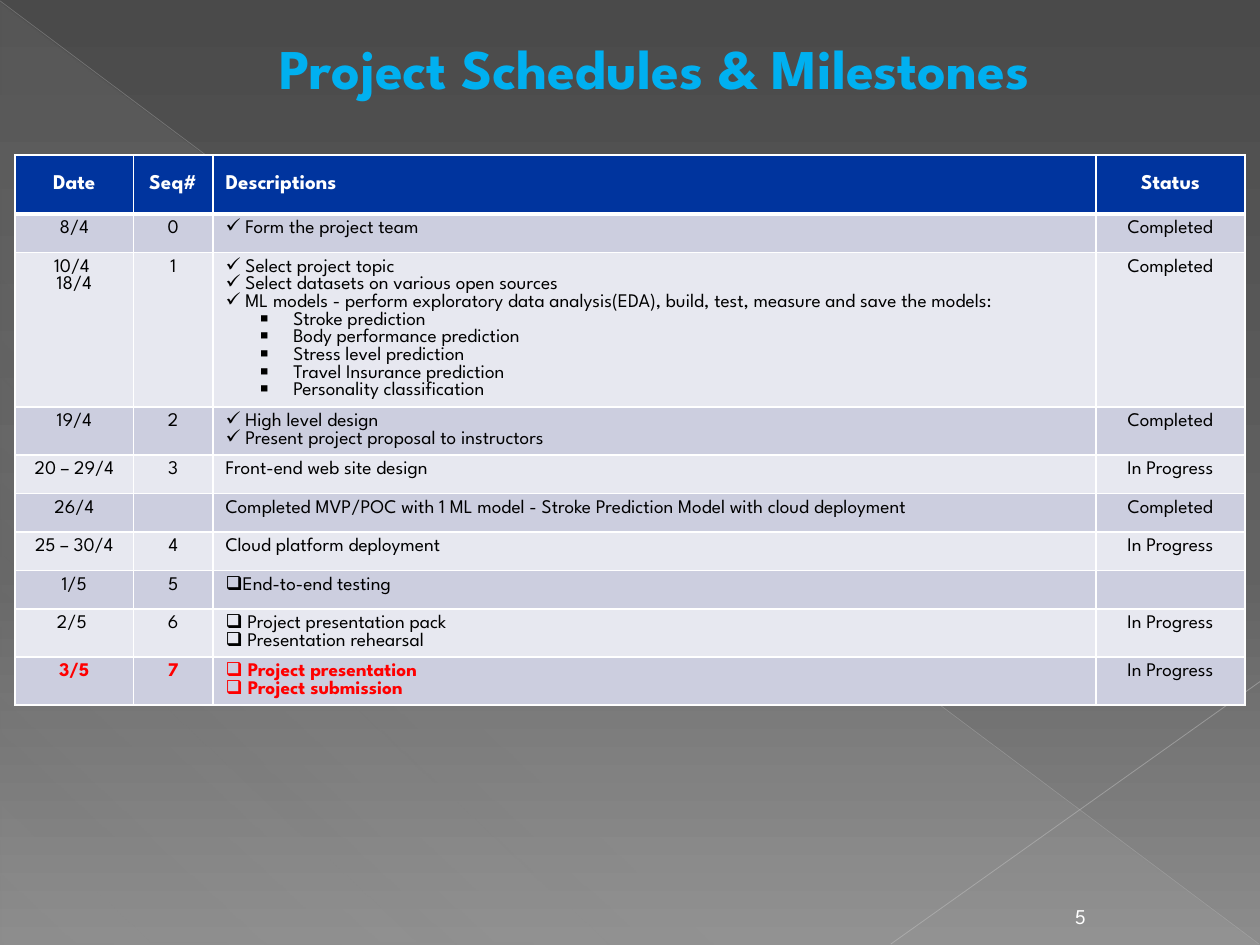
import dataclasses

import lxml.etree
import pptx
import pptx.dml.color
import pptx.enum.shapes
import pptx.enum.text
import pptx.oxml.ns
import pptx.util

Pt = pptx.util.Pt
qn = pptx.oxml.ns.qn
RGB = pptx.dml.color.RGBColor.from_string
ALIGN = pptx.enum.text.PP_ALIGN
ANCHOR = pptx.enum.text.MSO_ANCHOR


@dataclasses.dataclass(frozen=True)
class Theme:
    """Colours, font and type sizes of the slide."""
    font: str = "League Spartan"
    title: str = "00B0F0"
    head: str = "00349E"
    bands: tuple = ("CCCEDF", "E7E8F0")
    white: str = "FFFFFF"
    text: str = "000000"
    alert: str = "FF0000"
    back: tuple = ((0, "4A4A4A", 100), (60, "626262", 100), (100, "8C8C8C", 100))
    sheen: tuple = ((0, "D2D2D2", 10), (70, "D2D2D2", 8), (100, "D2D2D2", 1))
    rays: tuple = (("BFBFBF", 0.39, 35), ("C6C6C6", 0.47, 45))
    title_size: float = 32
    head_size: float = 12
    body_size: float = 11


T = Theme()
COLUMNS = (67.7, 45.4, 504.7, 85)
HEAD_HEIGHT = 33.7
LINE_HEIGHT = 10.12
MIN_ROW = 22
HEADINGS = ("Date", "Seq#", "Descriptions", "Status")
MILESTONES = (
    ("8/4", "0", "✓", ("Form the project team",), "Completed"),
    ("10/4 \n18/4", "1", "✓", (
        "Select project topic",
        "Select datasets on various open sources",
        "ML models - perform exploratory data analysis(EDA), build, test, measure and save the models:",
        ("Stroke prediction", "Body performance prediction", "Stress level prediction",
         "Travel Insurance prediction", "Personality classification")), "Completed"),
    ("19/4", "2", "✓", ("High level design", "Present project proposal to instructors"), "Completed"),
    ("20 – 29/4", "3", "", ("Front-end web site design",), "In Progress"),
    ("26/4", "", "", ("Completed MVP/POC with 1 ML model - Stroke Prediction Model with cloud deployment",),
     "Completed"),
    ("25 – 30/4", "4", "", ("Cloud platform deployment",), "In Progress"),
    ("1/5", "5", "❑", ("End-to-end testing",), ""),
    ("2/5 ", "6", "❑", ("Project presentation pack", "Presentation rehearsal"), "In Progress"),
    ("3/5", "7", "❑", ("Project presentation", "Project submission"), "In Progress"),
)


def style(obj, values):
    """Set each attribute named in the dict."""
    for name, value in values.items():
        setattr(obj, name, value)


def add_alpha(color, percent):
    """Make a colour element partly transparent."""
    lxml.etree.SubElement(color, qn("a:alpha"), val=str(percent * 1000))


def set_gradient(fill, owner, stops, angle):
    """Give a fill a linear gradient with the stops."""
    fill.gradient()
    grad = owner.find(".//" + qn("a:gradFill"))
    stop_list = grad.find(qn("a:gsLst"))
    for old in list(stop_list):
        stop_list.remove(old)
    for pos, color, alpha in stops:
        gs = lxml.etree.SubElement(stop_list, qn("a:gs"), pos=str(pos * 1000))
        add_alpha(lxml.etree.SubElement(gs, qn("a:srgbClr"), val=color), alpha)
    grad.find(qn("a:lin")).set("ang", str(angle * 60000))


def write(p, text, size, color, bold):
    """Write one run, or size the paragraph when it is empty."""
    if text:
        r = p.add_run()
        r.text = text
        style(r.font, {"name": T.font, "size": Pt(size), "bold": bold})
        r.font.color.rgb = RGB(color)
    else:
        lxml.etree.SubElement(p._p, qn("a:endParaRPr"), sz=str(int(size * 100)))


def add_bullet(p, char, margin=0, hang=0):
    """Give a paragraph a character bullet and an indent."""
    ppr = p._p.get_or_add_pPr()
    ppr.set("marL", str(Pt(margin)))
    ppr.set("indent", str(-Pt(hang)))
    lxml.etree.SubElement(ppr, qn("a:buChar"), char=char)


def format_cell(cell, fill, top, bottom):
    """Set white borders and a solid fill on a cell."""
    tcpr = cell._tc.get_or_add_tcPr()
    for side, width in (("L", 1), ("R", 1), ("T", top), ("B", bottom)):
        ln = lxml.etree.SubElement(tcpr, qn("a:ln" + side), w=str(Pt(width)))
        solid = lxml.etree.SubElement(ln, qn("a:solidFill"))
        lxml.etree.SubElement(solid, qn("a:srgbClr"), val=T.white)
    cell.fill.solid()
    cell.fill.fore_color.rgb = RGB(fill)


def fill_cell(cell, items, size, color, bold, align):
    """Write (text, bullet, level) items as the paragraphs of a cell."""
    tf = cell.text_frame
    for i, (text, bullet, level) in enumerate(items):
        p = tf.add_paragraph() if i else tf.paragraphs[0]
        style(p, {"alignment": align, "level": level})
        if bullet:
            add_bullet(p, bullet, 36 * level, 18 * level)
        write(p, text, size, color, bold)


def description_items(bullet, entries):
    """Turn description entries into cell items, with a nested tuple one level down."""
    items = []
    for entry in entries:
        if isinstance(entry, tuple):
            items += [(" " + text, "▪", 1) for text in entry]
        else:
            gap = " " if bullet and entry != "End-to-end testing" else ""
            items.append((gap + entry, bullet, 0))
    return items


def add_background(s, w, h):
    """Paint the gradient, the sheen triangle and the two rays."""
    set_gradient(s.background.fill, s.element, T.back, 90)
    sp = s.shapes.add_shape(pptx.enum.shapes.MSO_SHAPE.RIGHT_TRIANGLE, Pt(0.5), Pt(1.5), Pt(w - 1), Pt(h - 1.5))
    sp.shadow.inherit = False
    sp.line.fill.background()
    set_gradient(sp.fill, sp.element.spPr, T.sheen, 133)
    ends = ((0, 0.5, w - 0.5, h - 0.5), (w, 389.5, 509, h - 0.5))
    for points, (color, width, alpha) in zip(ends, T.rays):
        line = s.shapes.add_connector(pptx.enum.shapes.MSO_CONNECTOR.STRAIGHT, *map(Pt, points))
        line.line.width = Pt(width)
        line.line.color.rgb = RGB(color)
        spPr = line._element.spPr
        add_alpha(spPr.find(".//" + qn("a:srgbClr")), alpha)
        lxml.etree.SubElement(spPr, qn("a:effectLst"))


def format_label(sp, text, size, color, bold):
    """Write a centred line that sits at the bottom of its box."""
    tf = sp.text_frame
    style(tf, {"word_wrap": True, "vertical_anchor": ANCHOR.BOTTOM,
               "auto_size": pptx.enum.text.MSO_AUTO_SIZE.NONE})
    p = tf.paragraphs[0]
    p.alignment = ALIGN.CENTER
    write(p, text, size, color, bold)


def add_title(s, x, y, w, h):
    """Place the title placeholder in front of the background."""
    sp = s.shapes.title
    style(sp, {"left": Pt(x), "top": Pt(y), "width": Pt(w), "height": Pt(h)})
    sp.element.getparent().append(sp.element)
    format_label(sp, "Project Schedules & Milestones", T.title_size, T.title, True)


def add_schedule(s, x, y, w):
    """Build the milestone table at the given place and width."""
    rows = [[[(text, "", 0)] for text in HEADINGS]]
    for date, seq, bullet, entries, status in MILESTONES:
        dates = [(text, "", 0) for text in date.split("\n")]
        rows.append([dates, [(seq, "", 0)], description_items(bullet, entries), [(status, "", 0)]])
    heights = [HEAD_HEIGHT] + [max(MIN_ROW, len(row[2]) * LINE_HEIGHT + 7.2) for row in rows[1:]]
    table = s.shapes.add_table(len(rows), len(COLUMNS), Pt(x), Pt(y), Pt(w), Pt(sum(heights))).table
    for column, width in zip(table.columns, COLUMNS):
        column.width = Pt(w * width / sum(COLUMNS))
    for i, (row, height) in enumerate(zip(rows, heights)):
        table.rows[i].height = Pt(height)
        for j, items in enumerate(row):
            cell = table.cell(i, j)
            align = ALIGN.LEFT if j == 2 else ALIGN.CENTER
            format_cell(cell, T.bands[(i - 1) % 2] if i else T.head, 3 if i == 1 else 1, 1 if i else 3)
            if i == 0:
                cell.vertical_anchor = ANCHOR.MIDDLE
                fill_cell(cell, items, T.head_size, T.white, True, align)
            else:
                final = i == len(rows) - 1 and j < 3
                fill_cell(cell, items, T.body_size, T.alert if final else T.text, final, align)


def add_page_number(s, x, y, w, h):
    """Place the page number in its box."""
    format_label(s.shapes.add_textbox(Pt(x), Pt(y), Pt(w), Pt(h)), "5", T.head_size, T.white, False)


def main():
    """Build the slide and save it."""
    prs = pptx.Presentation()
    style(prs, {"slide_width": Pt(720), "slide_height": Pt(540)})
    s = prs.slides.add_slide(prs.slide_layouts.get_by_name("Title Only"))
    add_background(s, 720, 540)
    add_schedule(s, 8.6, 88.6, 702.8)
    add_title(s, 93.6, 15, 561.6, 46)
    add_page_number(s, 597.6, 510.5, 39.6, 23.8)
    prs.save("out.pptx")


if __name__ == "__main__":
    main()
